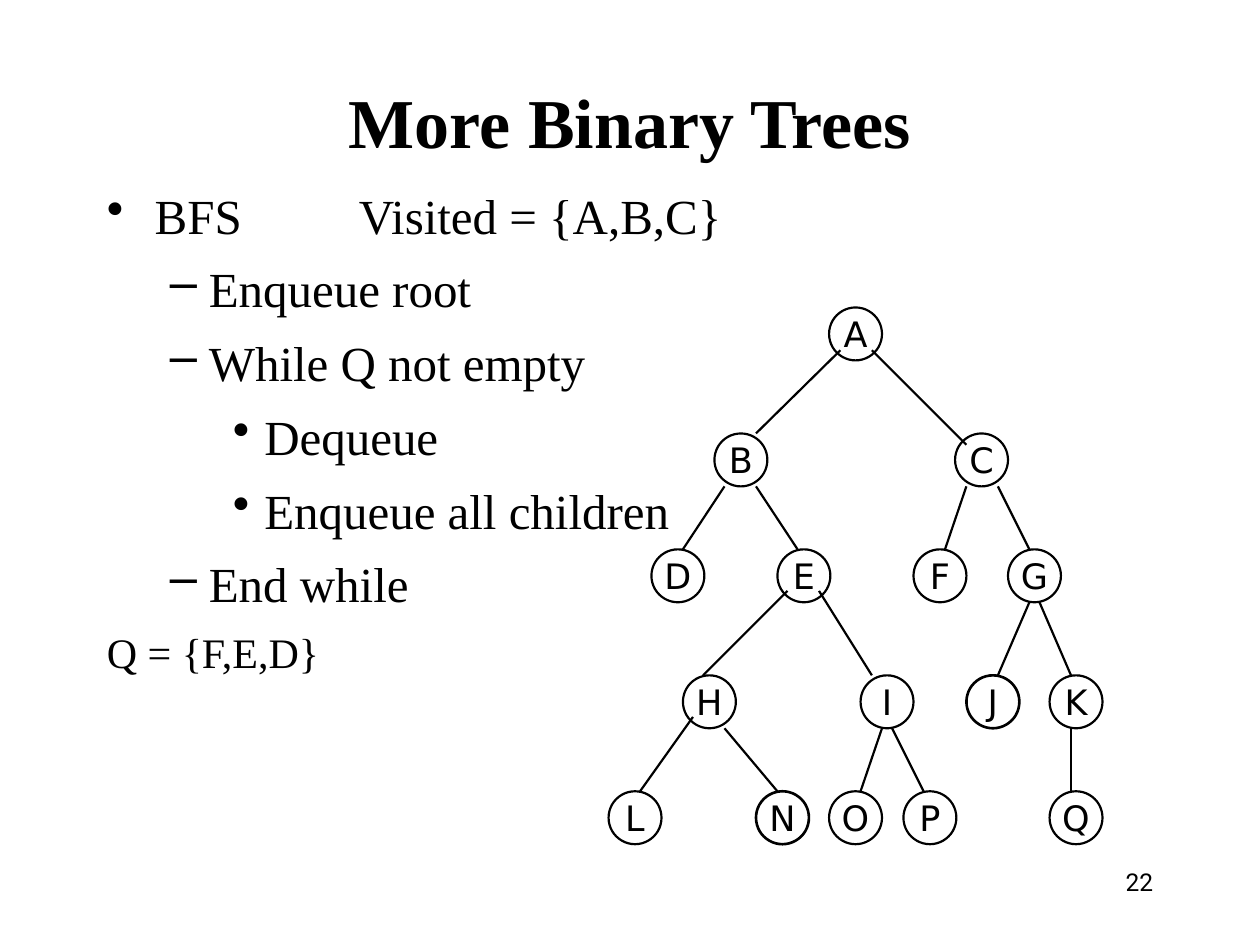
"""Build a slide showing a breadth-first search over a binary tree."""
from pptx import Presentation
from pptx.dml.color import RGBColor
from pptx.enum.shapes import MSO_CONNECTOR as CONN, MSO_SHAPE as SHAPE
from pptx.enum.text import MSO_ANCHOR as ANCHOR, PP_ALIGN as ALIGN
from pptx.oxml.ns import qn
from pptx.util import Inches, Pt
from lxml.etree import SubElement

THEME = {
    "ink": RGBColor(0, 0, 0),
    "title": {"name": "Times New Roman", "size": Pt(40), "bold": True},
    "body": {"name": "Times New Roman", "size": Pt(28)},
    "queue": {"name": "Times New Roman", "size": Pt(24)},
    "node": {"name": "DejaVu Sans", "size": Pt(20)},
    "number": {"name": "Roboto", "size": Pt(14)},
    "line": Pt(1.25),
    "bold_line": Pt(1.5),
}


def write(p, text, style, align=ALIGN.LEFT):
    p.alignment = align
    r = p.add_run()
    r.text = text
    for key, value in THEME[style].items():
        setattr(r.font, key, value)
    r.font.color.rgb = THEME["ink"]


def add_box(s, left, top, width, height, anchor=ANCHOR.TOP):
    tf = s.shapes.add_textbox(*map(Inches, (left, top, width, height))).text_frame
    tf.word_wrap = True
    tf.vertical_anchor = anchor
    return tf


prs = Presentation()
prs.slide_width, prs.slide_height = Inches(10), Inches(7.5)
s = prs.slides.add_slide(prs.slide_layouts[6])

number = add_box(s, 7.17, 6.83, 2.08, 0.5)
write(number.paragraphs[0], "22", "number", ALIGN.RIGHT)
title = add_box(s, 0.75, 0.67, 8.5, 0.58, ANCHOR.MIDDLE)
write(title.paragraphs[0], "More Binary Trees", "title", ALIGN.CENTER)

LEVELS = [(0.38, 0.38, "•"), (0.81, 0.31, "–"), (1.25, 0.25, "•")]
STEPS = [
    (0, "BFS\tVisited = {A,B,C}"),
    (1, "Enqueue root"),
    (1, "While Q not empty"),
    (2, "Dequeue"),
    (2, "Enqueue all children"),
    (1, "End while"),
]
body = add_box(s, 0.75, 1.42, 8.5, 5.25)
for i, (level, text) in enumerate(STEPS):
    p = body.paragraphs[0] if i == 0 else body.add_paragraph()
    margin, hang, bullet = LEVELS[level]
    p.level = level
    p.space_before = Pt(8.5)
    write(p, text, "body")
    pPr = p._p.get_or_add_pPr()
    pPr.set("marL", str(Inches(margin)))
    pPr.set("indent", str(-Inches(hang)))
    SubElement(pPr, qn("a:buChar")).set("char", bullet)
    if "\t" in text:
        tabs = SubElement(pPr, qn("a:tabLst"))
        SubElement(tabs, qn("a:tab"), pos=str(Inches(2)), algn="l")
p = body.add_paragraph()
p.space_before = Pt(8)
write(p, "Q = {F,E,D}", "queue")

DIAMETER = 0.42
ROWS = [
    (2.44, {"A": 6.58}),
    (3.44, {"B": 5.67, "C": 7.58}),
    (4.36, {"D": 5.17, "E": 6.17, "F": 7.25, "G": 8}),
    (5.36, {"H": 5.42, "I": 6.83, "J": 7.67, "K": 8.33}),
    (6.28, {"L": 4.83, "N": 6, "O": 6.58, "P": 7.17, "Q": 8.33}),
]
for top, nodes in ROWS:
    for name, left in nodes.items():
        sp = s.shapes.add_shape(SHAPE.OVAL, *map(Inches, (left, top, DIAMETER, DIAMETER)))
        sp.shadow.inherit = False
        sp.fill.background()
        sp.line.color.rgb = THEME["ink"]
        sp.line.width = THEME["bold_line" if name in "JN" else "line"]
        tf = sp.text_frame
        tf.word_wrap = False
        tf.vertical_anchor = ANCHOR.MIDDLE
        write(tf.paragraphs[0], name, "node", ALIGN.CENTER)

EDGES = [
    (6.67, 2.78, 6, 3.44), (6.92, 2.78, 7.67, 3.53),
    (5.75, 3.86, 5.42, 4.36), (6, 3.86, 6.33, 4.36),
    (7.67, 3.86, 7.5, 4.36), (7.92, 3.86, 8.17, 4.36),
    (6.25, 4.69, 5.58, 5.36), (6.5, 4.69, 6.92, 5.36),
    (8.17, 4.78, 7.92, 5.36), (8.25, 4.78, 8.5, 5.36),
    (5.5, 5.69, 5.08, 6.28), (5.75, 5.78, 6.17, 6.28),
    (7, 5.78, 6.83, 6.28), (7.08, 5.78, 7.33, 6.28),
    (8.5, 5.78, 8.5, 6.28),
]
for edge in EDGES:
    line = s.shapes.add_connector(CONN.STRAIGHT, *map(Inches, edge))
    line.line.color.rgb = THEME["ink"]
    line.line.width = THEME["line"]
    SubElement(line._element.spPr, qn("a:effectLst"))

prs.save("out.pptx")
